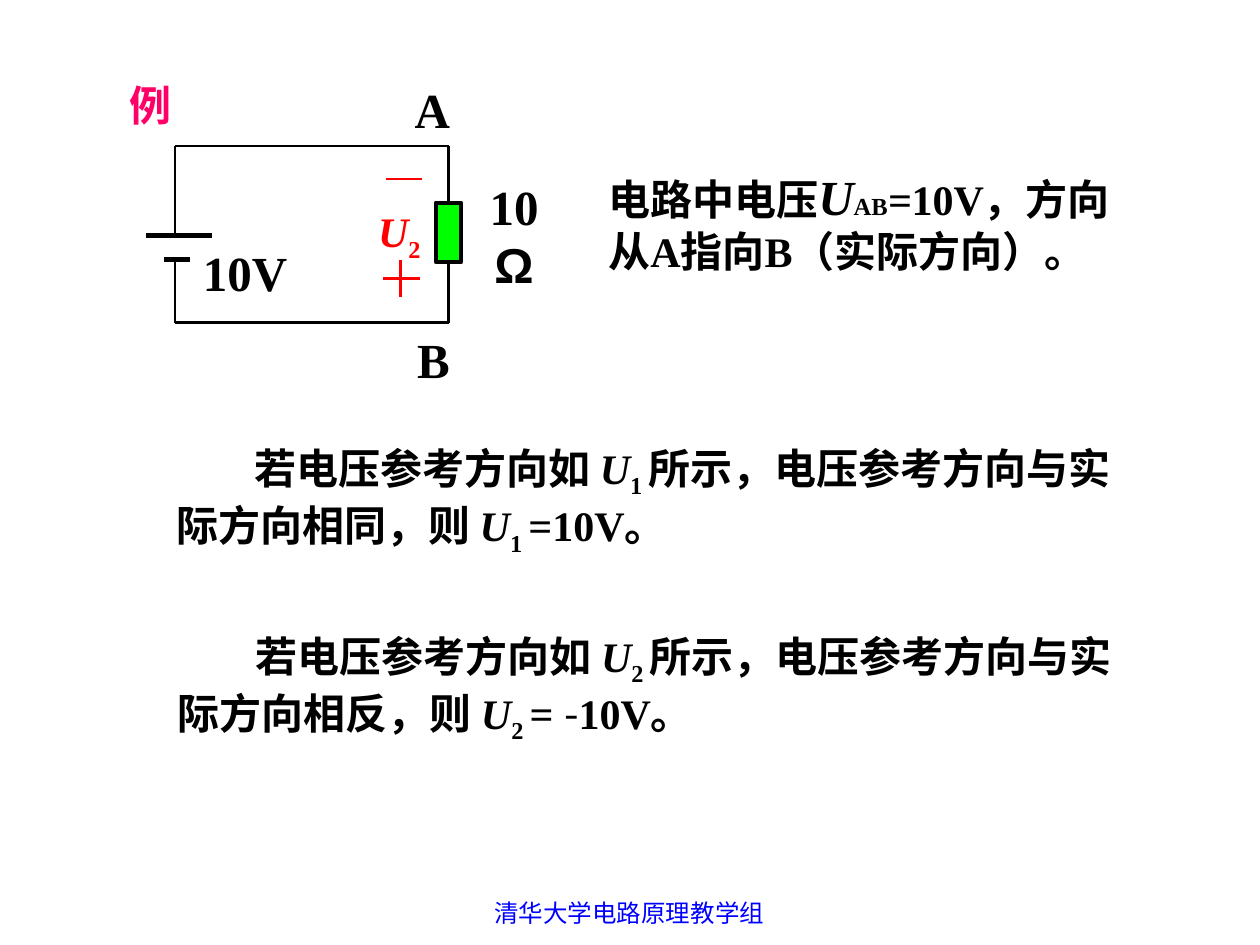
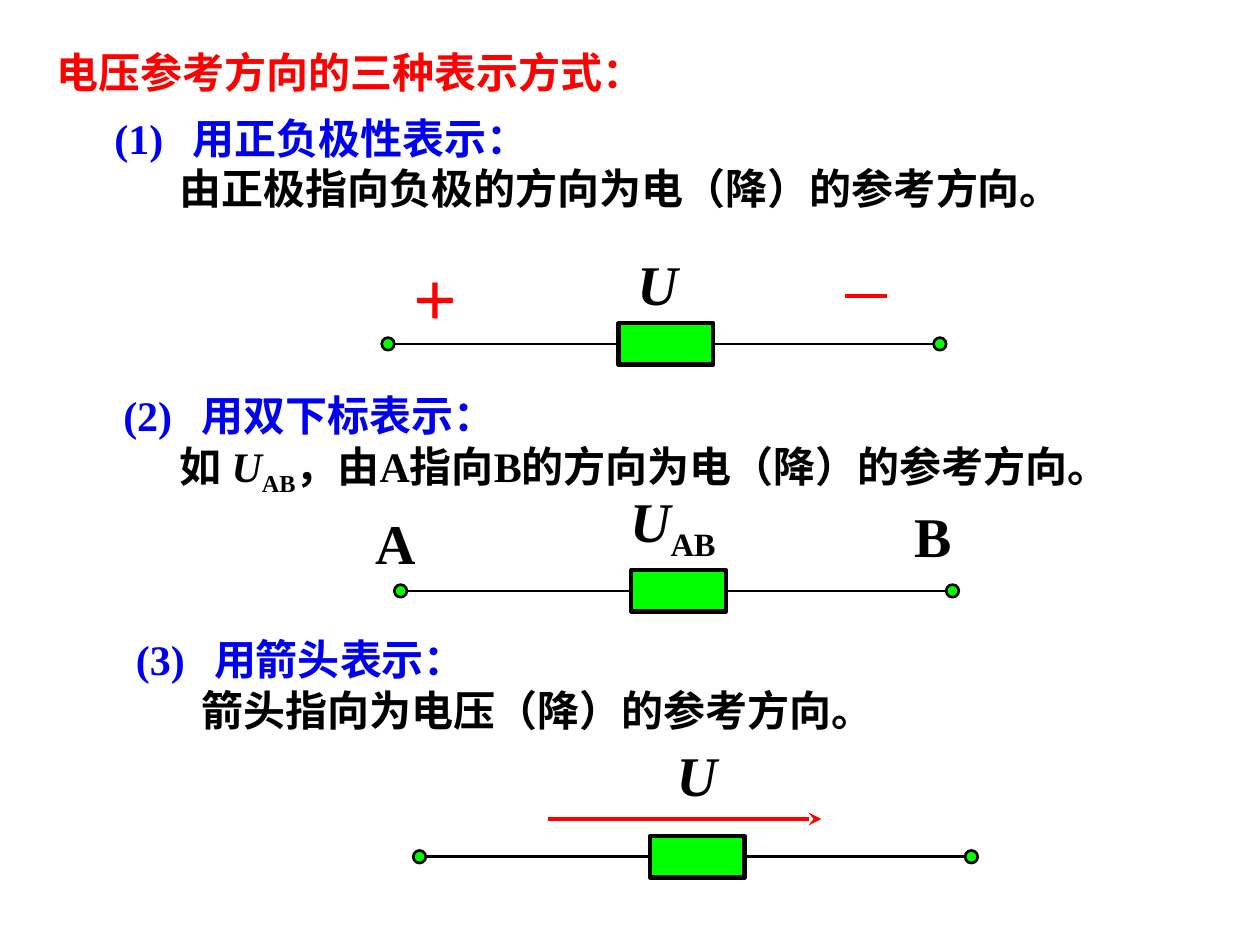
"""Build two slides on the reference direction of voltage in circuits."""
from lxml.etree import SubElement
from pptx import Presentation
from pptx.dml.color import RGBColor
from pptx.enum.shapes import MSO_CONNECTOR as Connector, MSO_SHAPE as Preset
from pptx.enum.text import MSO_ANCHOR as Anchor, PP_ALIGN as Align
from pptx.oxml.ns import qn
from pptx.util import Inches, Pt

COLUMNS, ROWS = 100, 75
WIDTH, HEIGHT = Inches(10), Inches(7.5)
BLACK, RED, BLUE, GREEN, PINK = "000000", "FF0000", "0000F0", "00FF00", "FF0066"
LATIN, HAN, SANS = "Times New Roman", "Noto Sans CJK SC", "Arial"
BODY = {"size": 24, "name": LATIN, "bold": True, "italic": False, "color": BLACK}
ITALIC, SUBSCRIPT = {"italic": True}, {"baseline": -25000}
LABEL = {"size": 28}
SYMBOL = {"size": 32}


def color(hex_string):
    return RGBColor.from_string(hex_string)


def across(columns):
    return round(WIDTH * columns / COLUMNS)


def down(rows):
    return round(HEIGHT * rows / ROWS)


class Deck:
    """Hold the style and the current slide, and draw each kind of element."""

    def __init__(self):
        self.presentation = Presentation()
        self.presentation.slide_width = WIDTH
        self.presentation.slide_height = HEIGHT
        self.slide = None

    def new_slide(self):
        self.slide = self.presentation.slides.add_slide(self.presentation.slide_layouts[6])

    def run(self, paragraph, text, style):
        run = paragraph.add_run()
        run.text = text
        values = {**BODY, **style}
        properties = run._r.get_or_add_rPr()
        if "baseline" in values:
            properties.set("baseline", str(values.pop("baseline")))
        run.font.color.rgb = color(values.pop("color"))
        values["size"] = Pt(values["size"])
        for name, value in values.items():
            setattr(run.font, name, value)
        SubElement(properties, qn("a:ea")).set("typeface", HAN)

    def text(self, box, paragraphs, align=Align.LEFT, wrap=True, anchor=Anchor.MIDDLE):
        left, top, width, height = box
        shape = self.slide.shapes.add_textbox(across(left), down(top), across(width), down(height))
        frame = shape.text_frame
        for name, value in {"word_wrap": wrap, "vertical_anchor": anchor}.items():
            setattr(frame, name, value)
        for number, (margin, indent, runs) in enumerate(paragraphs):
            paragraph = frame.add_paragraph() if number else frame.paragraphs[0]
            paragraph.alignment = align
            properties = paragraph._p.get_or_add_pPr()
            properties.set("marL", str(across(margin)))
            properties.set("indent", str(across(indent)))
            for text, style in runs:
                self.run(paragraph, text, style)

    def label(self, box, *runs, wrap=False):
        self.text(box, [(0, 0, runs)], Align.CENTER, wrap)

    def shape(self, preset, box, weight):
        left, top, width, height = box
        shape = self.slide.shapes.add_shape(
            preset, across(left), down(top), across(width), down(height))
        shape.shadow.inherit = False
        shape.fill.solid()
        shape.fill.fore_color.rgb = color(GREEN)
        shape.line.color.rgb = color(BLACK)
        shape.line.width = Pt(weight)
        return shape

    def line(self, start, end, stroke=BLACK, weight=1.5, arrow=False, join=None):
        connector = self.slide.shapes.add_connector(
            Connector.STRAIGHT, across(start[0]), down(start[1]), across(end[0]), down(end[1]))
        connector.line.color.rgb = color(stroke)
        connector.line.width = Pt(weight)
        if arrow:
            SubElement(connector.line._get_or_add_ln(), qn("a:tailEnd")).set("type", "stealth")
        SubElement(connector._element.spPr, qn("a:effectLst"))
        if join:
            connector.end_connect(*join)

    def resistor_row(self, left, middle):
        body_left, body_width, body_height = left + 18.8, 7.5, 3.3
        terminal, span = 1, 44.8
        resistor = self.shape(
            Preset.RECTANGLE, (body_left, middle - body_height / 2, body_width, body_height), 2.5)
        ends = ((left + terminal, body_left, 1),
                (left + span - terminal, body_left + body_width, 3))
        for outer, inner, side in ends:
            self.line((outer, middle), (inner, middle), join=(resistor, side))
        for x in (left, left + span - terminal):
            self.shape(Preset.OVAL, (x, middle - terminal / 2, terminal, terminal), 1.5)

    def item(self, box, number, heading, indent, runs):
        hanging = 6.2
        heading_runs = [(f"({number})\t{heading}", {"color": BLUE})]
        self.text(box, [(hanging, -hanging, heading_runs), (0, indent, runs)])


def draw_circuit(deck):
    left, right, top, bottom = 13.9, 35.6, 11.6, 25.6
    long_plate, short_plate = 18.7, 20.6
    resistor = deck.shape(Preset.RECTANGLE, (34.6, 16.1, 2, 4.7), 2.5)
    deck.line((left, top), (right, top))
    deck.line((left, bottom), (right, bottom))
    deck.line((left, top), (left, long_plate))
    deck.line((left, short_plate), (left, bottom))
    deck.line((11.6, long_plate), (16.8, long_plate), weight=2.5)
    deck.line((13, short_plate), (15.1, short_plate), weight=2.5)
    deck.line((right, top), (right, 16.1), join=(resistor, 0))
    deck.line((right, bottom), (right, 20.8), join=(resistor, 2))
    deck.line((30.6, 14.2), (33.5, 14.2), RED)
    deck.line((30.4, 22.1), (33.3, 22.1), RED)
    deck.line((31.8, 20.6), (31.8, 23.6), RED)
    deck.label((9.3, 5.8, 5.3, 5), ("例", {"color": PINK}))
    deck.label((15.1, 18.7, 8.7, 5.7), ("10V", LABEL))
    deck.label((36.6, 15.8, 8.4, 5.7), ("10", LABEL), ("Ω", {**LABEL, "name": SANS}), wrap=True)
    deck.label((31.9, 5.8, 4.8, 5.7), ("A", LABEL))
    deck.label((32.1, 25.6, 4.6, 5.7), ("B", LABEL))
    deck.label((29, 15.8, 5.4, 5.6), ("U", {**ITALIC, "color": RED}),
               ("2", {**SUBSCRIPT, "color": RED}))


def example_slide(deck):
    deck.new_slide()
    draw_circuit(deck)
    deck.text((47.3, 12.7, 45, 9.7), [
        (0, 0, [("电路中电压", {}), ("U", {"size": 28, **ITALIC}), ("AB", {"size": 14}),
                ("=", ITALIC), ("10V，方向", {})]),
        (0, 0, [("从A指向B（实际方向）。", {})])])
    cases = (
        (13, 34.6, "1", "相同", [("=10V。", {})]),
        (13.1, 49.5, "2", "相反", [("= ", {}), ("-", {"name": HAN, "bold": False}), ("10V。", {})]))
    for left, top, index, relation, result in cases:
        deck.text((left, top, 79.1, 10.1), [(0, 6.2, [
            ("若电压参考方向如 ", {}), ("U", ITALIC), (f"{index} ", SUBSCRIPT),
            (f"所示，电压参考方向与实际方向{relation}，则 ", {}), ("U", ITALIC),
            (index, SUBSCRIPT), (" ", {"size": 14}), *result])])
    footer = {"size": 14, "name": SANS, "bold": False, "color": "0000FF"}
    deck.text((34.1, 70.8, 31.7, 2.7), [(0, 0, [("清华大学电路原理教学组", footer)])],
              Align.CENTER, anchor=Anchor.TOP)


def notation_slide(deck):
    deck.new_slide()
    deck.text((3.5, 3.2, 54.5, 5), [(0, 0, [("电压参考方向的三种表示方式：", {"color": RED})])])
    deck.item((8.1, 8.4, 88.8, 9), 1, "用正负极性表示：", 5.2,
              [("由正极指向负极的方向为电（降）的参考方向。", {})])
    deck.item((8.8, 30.4, 86.5, 9.6), 2, "用双下标表示：", 4.5,
              [("如 ", {}), ("U", ITALIC), ("AB", SUBSCRIPT),
               ("，由A指向B的方向为电（降）的参考方向。", {})])
    deck.item((9.8, 49.8, 62.1, 9), 3, "用箭头表示：", 5.2,
              [("箭头指向为电压（降）的参考方向。", {})])
    for left, middle in ((30.3, 27.3), (31.3, 46.9), (32.8, 68)):
        deck.resistor_row(left, middle)
    voltage = ("U", {**SYMBOL, **ITALIC})
    deck.label((49.6, 19.3, 5.2, 6.4), voltage)
    deck.label((31.8, 19.3, 5.5, 8.4), ("+", {"size": 44, "color": RED}))
    deck.line((67.1, 23.5), (70.4, 23.5), RED, 2.5)
    deck.label((28.8, 39.8, 5.2, 6.4), ("A", SYMBOL))
    deck.label((71.6, 39.3, 4.9, 6.4), ("B", SYMBOL))
    deck.label((49, 38.1, 8.8, 7.1), voltage, ("AB", {**SYMBOL, **SUBSCRIPT}))
    deck.label((52.7, 58.2, 5.2, 6.4), voltage)
    deck.line((43.5, 65), (65.2, 65), RED, 2.5, arrow=True)


def main():
    deck = Deck()
    example_slide(deck)
    notation_slide(deck)
    deck.presentation.save("out.pptx")


if __name__ == "__main__":
    main()
